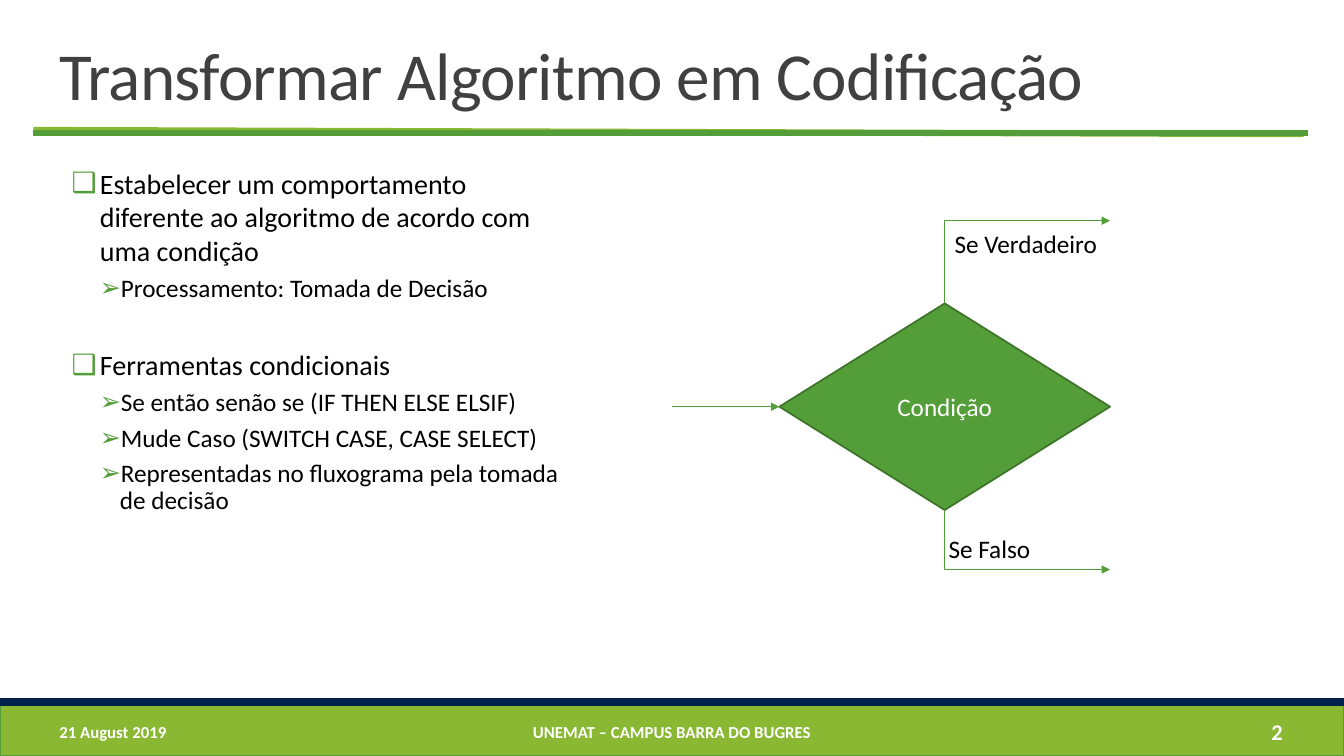
from pptx import Presentation
from pptx.dml.color import RGBColor
from pptx.enum.shapes import MSO_CONNECTOR, MSO_SHAPE
from pptx.enum.text import MSO_ANCHOR, MSO_AUTO_SIZE, PP_ALIGN
from pptx.oxml.ns import qn
from pptx.util import Inches, Pt
from lxml import etree

LINE, ELBOW = MSO_CONNECTOR.STRAIGHT, MSO_CONNECTOR.ELBOW
RECT, DIAMOND = MSO_SHAPE.RECTANGLE, MSO_SHAPE.FLOWCHART_DECISION
LEFT, MID, RIGHT = PP_ALIGN.LEFT, PP_ALIGN.CENTER, PP_ALIGN.RIGHT
TOP, CENTER, BOTTOM = MSO_ANCHOR.TOP, MSO_ANCHOR.MIDDLE, MSO_ANCHOR.BOTTOM

THEME = dict(font="Calibri", green="549E39", lime="8AB833", navy="00214A",
             edge="3E752A", gray="404040", black="000000", white="FFFFFF",
             title=48, head=20, text=18, foot=12, page=16)
WIDE, HIGH = 13.33, 7.5

TITLE = "Transformar Algoritmo em Codificação"
GROUPS = [
    ("Estabelecer um comportamento diferente ao algoritmo de acordo com "
     "uma condição",
     ["Processamento: Tomada de Decisão"]),
    ("Ferramentas condicionais",
     ["Se então senão se (IF THEN ELSE ELSIF)",
      "Mude Caso (SWITCH CASE, CASE SELECT)",
      "Representadas no fluxograma pela tomada de decisão"]),
]
# Bullet, indent, hang, line spacing and size name for each level
LEVELS = [("❑", 0.5, 0.28, 1.0, "head"), ("➢", 0.7, 0.2, 0.9, "text")]
GAP = 28
FOOT = [("21 August 2019", 0.49, 2.7, LEFT, "foot"),
        ("UNEMAT – CAMPUS BARRA DO BUGRES", 4.03, 5.27, MID, "foot"),
        ("2", 11.39, 1.43, RIGHT, "page")]
NODE = (7.73, 3.01, 3.28, 2.05)
# Label, its left and top, and the height at which the branch ends
BRANCHES = [("Se Verdadeiro", 9.37, 2.22, 2.19),
            ("Se Falso", 9.31, 5.24, 5.65)]


def color(name):
    """Look up a theme colour."""
    return RGBColor.from_string(THEME[name])


def place(shape, box):
    """Move and size a shape, in inches."""
    shape.left, shape.top, shape.width, shape.height = map(Inches, box)


def write(para, text, size="text", ink="black", bold=False, align=LEFT):
    """Put one formatted run in a paragraph and return the run."""
    para.alignment = align
    run = para.add_run()
    run.text = text
    font = run.font
    font.name, font.size, font.bold = THEME["font"], Pt(THEME[size]), bold
    font.color.rgb = color(ink)
    return run


def label(slide, text, box, wrap=True, anchor=TOP, **form):
    """Add a text box with one line of text."""
    frame = slide.shapes.add_textbox(*map(Inches, box)).text_frame
    frame.word_wrap, frame.vertical_anchor = wrap, anchor
    frame.auto_size = (MSO_AUTO_SIZE.NONE if wrap
                       else MSO_AUTO_SIZE.SHAPE_TO_FIT_TEXT)
    write(frame.paragraphs[0], text, **form)


def block(slide, kind, box, fill, edge):
    """Add a filled shape with a thin outline."""
    shape = slide.shapes.add_shape(kind, *map(Inches, box))
    shape.shadow.inherit = False
    shape.fill.solid()
    shape.fill.fore_color.rgb = color(fill)
    shape.line.color.rgb = color(edge)
    shape.line.width = Pt(1.25)
    return shape


def link(slide, ends, ink="green", width=1, kind=LINE, arrow=False):
    """Add a line or an arrow between two points."""
    wire = slide.shapes.add_connector(kind, *map(Inches, ends))
    wire.line.color.rgb = color(ink)
    wire.line.width = Pt(width)
    props = wire._element.spPr
    if arrow:
        etree.SubElement(props.find(qn("a:ln")), qn("a:tailEnd"),
                         type="triangle")
    etree.SubElement(props, qn("a:effectLst"))
    return wire


def bend(slide, x, y, goal, end):
    """Add an arrow that runs up or down to end, then right to goal."""
    run, rise = goal - x, abs(end - y)
    mid, half = (x + goal) / 2, (y + end) / 2
    near, far = mid - rise / 2, mid + rise / 2
    low, high = half + run / 2, half - run / 2
    up = end < y
    ends = (far, low, near, high) if up else (far, high, near, low)
    props = link(slide, ends, kind=ELBOW, arrow=True)._element.spPr
    props.find(qn("a:xfrm")).set("rot", str((90 if up else 270) * 60000))
    props.find(qn("a:prstGeom")).set("prst", "bentConnector2")


def item(para, text, level, before):
    """Write one bulleted paragraph of the list."""
    mark, indent, hang, space, size = LEVELS[level]
    para.level, para.line_spacing = level, space
    para.space_before, para.space_after = Pt(before), Pt(4)
    write(para, text, size=size)
    props = para._p.get_or_add_pPr()
    props.set("marL", str(Inches(indent)))
    props.set("indent", str(-Inches(hang)))
    tint = etree.SubElement(props, qn("a:buClr"))
    etree.SubElement(tint, qn("a:srgbClr"), val=THEME["green"])
    etree.SubElement(props, qn("a:buChar"), char=mark)


def bands(slide):
    """Draw the title rule and the footer."""
    link(slide, (0.33, 1.29, 12.93, 1.33), ink="lime", width=4.5)
    block(slide, RECT, (0, 7, WIDE, 0.5), "lime", "green")
    block(slide, RECT, (0, 6.93, WIDE, 0.07), "navy", "navy")
    link(slide, (0.33, 1.32, 12.97, 1.32), width=4.5)
    for text, x, width, align, size in FOOT:
        label(slide, text, (x, 7.06, width, 0.4), anchor=CENTER,
              size=size, ink="white", bold=True, align=align)


def words(slide):
    """Fill the title and the list."""
    title, body = slide.shapes.title, slide.placeholders[1]
    place(title, (0.49, 0.31, 10.39, 0.87))
    place(body, (0.49, 1.6, 5.15, 5.07))
    for shape, anchor in ((title, BOTTOM), (body, TOP)):
        frame = shape.text_frame
        frame.word_wrap, frame.vertical_anchor = True, anchor
        frame.auto_size = MSO_AUTO_SIZE.NONE
    head = title.text_frame.paragraphs[0]
    head.line_spacing = 0.85
    run = write(head, TITLE, size="title", ink="gray")
    run.font._element.set("spc", "-50")

    frame = body.text_frame
    frame.margin_left = frame.margin_right = 0
    para = frame.paragraphs[0]
    for spot, (text, subs) in enumerate(GROUPS):
        if spot:
            para = frame.add_paragraph()
        item(para, text, 0, GAP if spot else 2)
        for sub in subs:
            item(frame.add_paragraph(), sub, 1, 2)


def flow(slide):
    """Draw the decision with its entry and its two branches."""
    x, y, width, height = NODE
    node = block(slide, DIAMOND, NODE, "green", "edge")
    node.text_frame.vertical_anchor = CENTER
    write(node.text_frame.paragraphs[0], "Condição", ink="white", align=MID)
    half = y + height / 2
    link(slide, (WIDE / 2, half, x, half), arrow=True).end_connect(node, 1)
    for (text, left, top, end), start in zip(BRANCHES, (y, y + height)):
        bend(slide, x + width / 2, start, x + width, end)
        label(slide, text, (left, top, 1.63, 0.4), wrap=False)


deck = Presentation()
deck.slide_width, deck.slide_height = Inches(WIDE), Inches(HIGH)
page = deck.slides.add_slide(deck.slide_layouts[1])
bands(page)
words(page)
flow(page)
deck.save("out.pptx")
